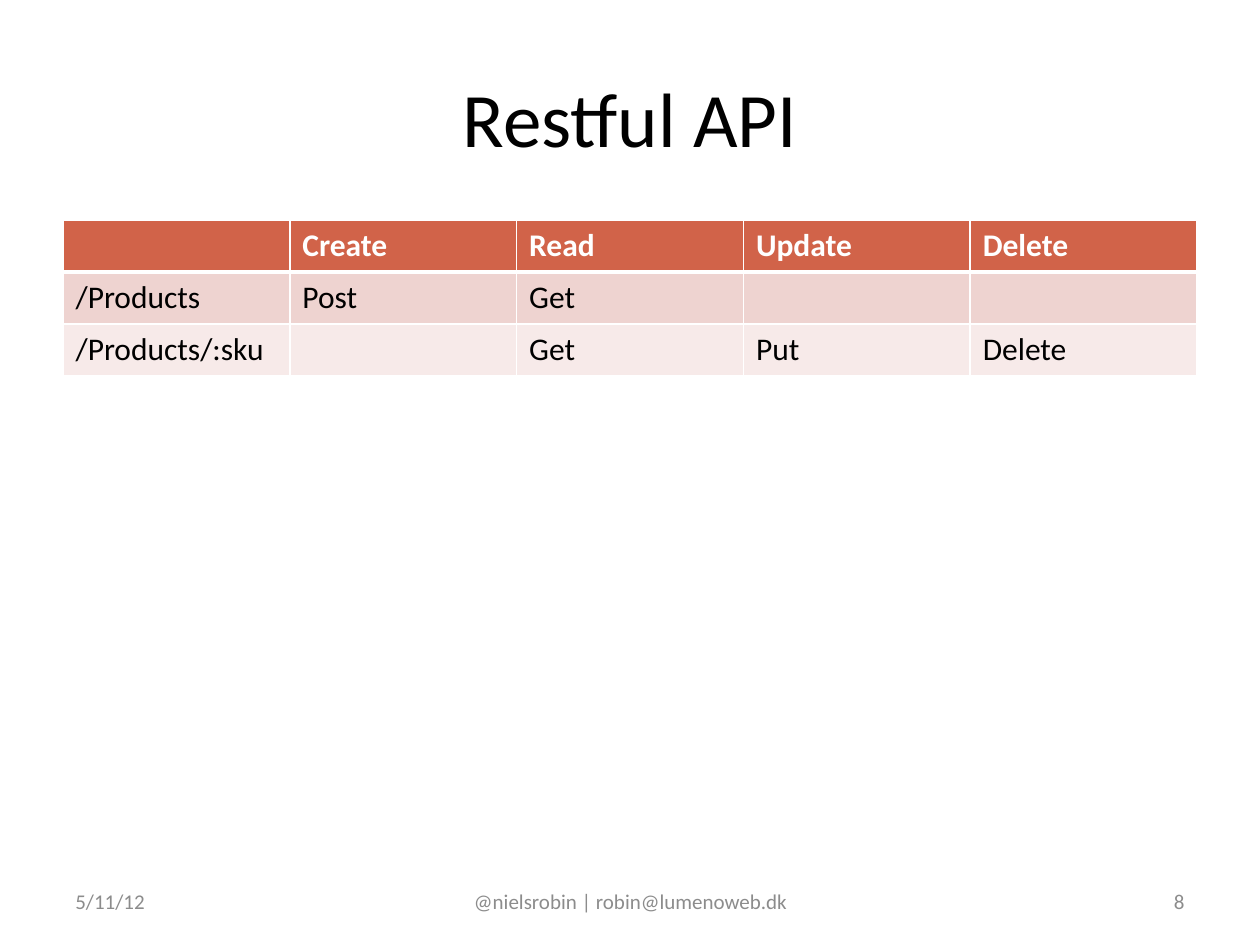
from dataclasses import dataclass

import lxml.etree
import pptx
import pptx.dml.color
import pptx.enum.text
import pptx.oxml.ns
import pptx.util
from pptx.util import Inches

FONT = "Calibri"
COLORS = {
    "black": "000000",
    "white": "FFFFFF",
    "header": "D16349",
    "odd row": "EED3D0",
    "even row": "F7EAE9",
    "footer": "8C8C8C",
}
ALIGN = pptx.enum.text.PP_ALIGN
COLUMN_WIDTH = 1.8
ROW_HEIGHT = 0.41
THIN, THICK = 1, 3


@dataclass
class Label:
    text: str
    left: float
    top: float
    width: float
    height: float
    align: ALIGN
    size: int = 12
    color: str = "footer"


@dataclass
class RouteRow:
    texts: tuple[str, ...]
    fill: str
    color: str = "black"
    bold: bool = False
    top_border: int = THIN
    bottom_border: int = THIN


LABELS = [
    Label("Restful API", 0.5, 0.3, 9, 1.25, ALIGN.CENTER, 44, "black"),
    Label("5/11/12", 0.5, 6.95, 2.33, 0.4, ALIGN.LEFT),
    Label("@nielsrobin | robin@lumenoweb.dk", 3.42, 6.95, 3.17, 0.4, ALIGN.CENTER),
    Label("8", 7.17, 6.95, 2.33, 0.4, ALIGN.RIGHT),
]
ROUTES = [
    RouteRow(("", "Create", "Read", "Update", "Delete"), "header", "white", True,
             bottom_border=THICK),
    RouteRow(("/Products", "Post", "Get", "", ""), "odd row", top_border=THICK),
    RouteRow(("/Products/:sku", "", "Get", "Put", "Delete"), "even row"),
]


def rgb(name: str) -> pptx.dml.color.RGBColor:
    return pptx.dml.color.RGBColor.from_string(COLORS[name])


def add_span(para, text: str, size: int, color: str, bold: bool = False) -> None:
    span = para.add_run()
    span.text = text
    span.font.name = FONT
    span.font.size = pptx.util.Pt(size)
    span.font.bold = bold
    span.font.color.rgb = rgb(color)


def add_label(slide, label: Label) -> None:
    box = slide.shapes.add_textbox(Inches(label.left), Inches(label.top),
                                   Inches(label.width), Inches(label.height))
    frame = box.text_frame
    frame.word_wrap = True
    frame.vertical_anchor = pptx.enum.text.MSO_ANCHOR.MIDDLE
    para = frame.paragraphs[0]
    para.alignment = label.align
    add_span(para, label.text, label.size, label.color)


def set_borders(cell, top: int, bottom: int) -> None:
    """Add white borders; call before the fill, which must follow them in the XML."""
    qn = pptx.oxml.ns.qn
    properties = cell._tc.get_or_add_tcPr()
    for side, points in (("L", THIN), ("R", THIN), ("T", top), ("B", bottom)):
        line = lxml.etree.SubElement(properties, qn(f"a:ln{side}"),
                                     w=str(pptx.util.Pt(points)))
        fill = lxml.etree.SubElement(line, qn("a:solidFill"))
        lxml.etree.SubElement(fill, qn("a:srgbClr"), val=COLORS["white"])


def add_route_table(slide, routes: list[RouteRow]) -> None:
    column_count = len(routes[0].texts)
    table = slide.shapes.add_table(
        len(routes), column_count, Inches(0.5), Inches(1.75),
        Inches(COLUMN_WIDTH * column_count), Inches(ROW_HEIGHT * len(routes))).table
    for column in table.columns:
        column.width = Inches(COLUMN_WIDTH)
    for row, route in zip(table.rows, routes):
        row.height = Inches(ROW_HEIGHT)
        for cell, text in zip(row.cells, route.texts):
            set_borders(cell, route.top_border, route.bottom_border)
            cell.fill.solid()
            cell.fill.fore_color.rgb = rgb(route.fill)
            if text:
                add_span(cell.text_frame.paragraphs[0], text, 18, route.color, route.bold)


def main() -> None:
    deck = pptx.Presentation()
    deck.slide_width, deck.slide_height = Inches(10), Inches(7.5)
    slide = deck.slides.add_slide(deck.slide_layouts[6])
    title, *footers = LABELS
    add_label(slide, title)
    add_route_table(slide, ROUTES)
    for footer in footers:
        add_label(slide, footer)
    deck.save("out.pptx")


if __name__ == "__main__":
    main()
